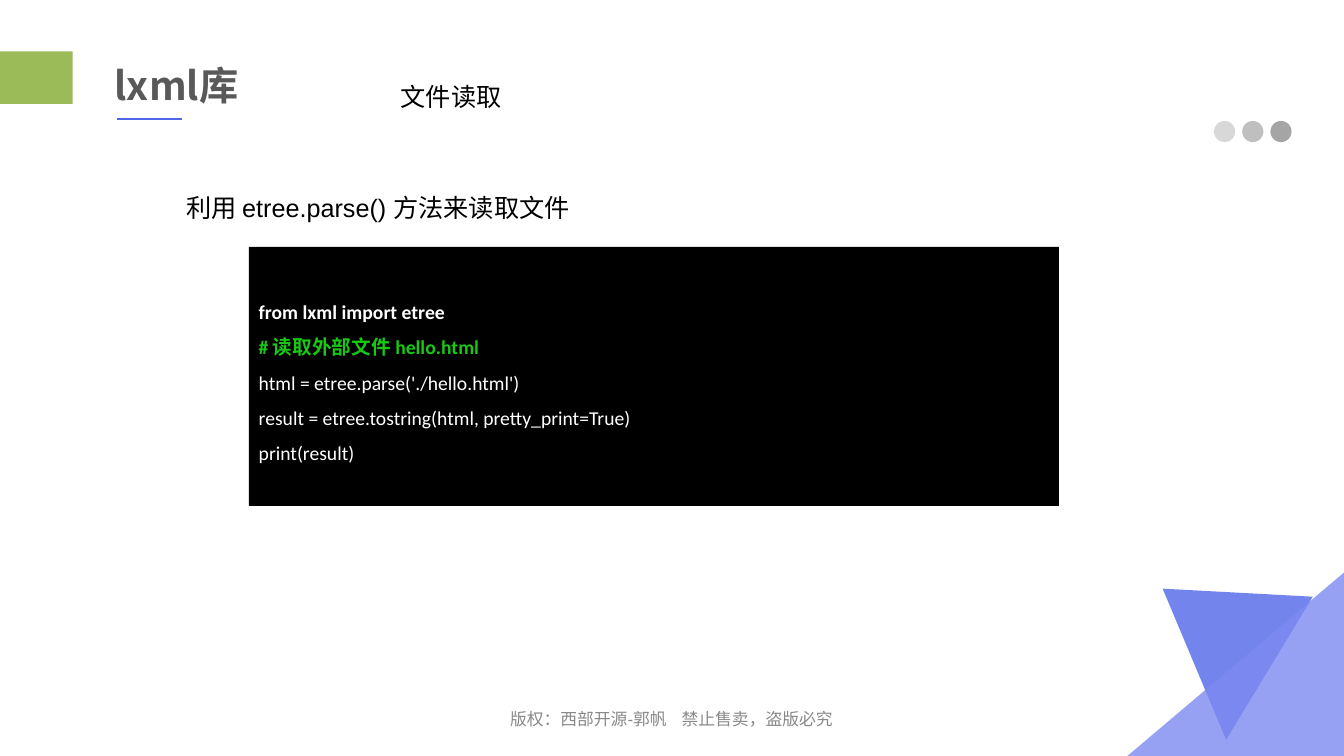
from lxml.etree import SubElement
from pptx import Presentation
from pptx.dml.color import RGBColor
from pptx.enum.shapes import MSO_CONNECTOR, MSO_SHAPE as SHAPE
from pptx.enum.text import MSO_ANCHOR as ANCHOR, PP_ALIGN as ALIGN
from pptx.oxml.ns import qn
from pptx.util import Inches, Pt


def rgb(value):
    return RGBColor.from_string(value)


def write(p, text, size=18, font="Arial", color="000000", bold=False, spacing=1.0, align=ALIGN.LEFT):
    p.alignment = align
    p.line_spacing = spacing
    r = p.add_run()
    r.text = text
    r.font.size = Pt(size)
    r.font.name = font
    r.font.bold = bold
    r.font.color.rgb = rgb(color)
    SubElement(r.font._element, qn("a:ea")).set("typeface", "Noto Sans CJK SC")


class Deck:
    BLUE = "5066E9"
    GREY = "595959"
    CODE = dict(size=14, font="Calibri", spacing=1.5)

    def __init__(self, width, height):
        self.prs = Presentation()
        self.prs.slide_width = Inches(width)
        self.prs.slide_height = Inches(height)
        self.s = self.prs.slides.add_slide(self.prs.slide_layouts[6])

    def paint(self, sp, color, alpha=None):
        sp.shadow.inherit = False
        sp.fill.solid()
        sp.fill.fore_color.rgb = rgb(color)
        sp.line.fill.background()
        if alpha is not None:
            fill = sp._element.spPr.find(qn("a:solidFill"))
            SubElement(fill[0], qn("a:alpha")).set("val", str(alpha * 1000))

    def shape(self, kind, box, color):
        sp = self.s.shapes.add_shape(kind, *map(Inches, box))
        self.paint(sp, color)
        return sp

    def triangle(self, points, color):
        start, *rest = [(Inches(x), Inches(y)) for x, y in points]
        builder = self.s.shapes.build_freeform(*start)
        builder.add_line_segments(rest, close=True)
        self.paint(builder.convert_to_shape(), color, alpha=80)

    def line(self, x1, y1, x2, y2, color, width):
        c = self.s.shapes.add_connector(MSO_CONNECTOR.STRAIGHT, *map(Inches, (x1, y1, x2, y2)))
        c.line.color.rgb = rgb(color)
        c.line.width = Pt(width)
        SubElement(c._element.spPr, qn("a:effectLst"))

    def text(self, box, text, anchor=ANCHOR.TOP, **fmt):
        tf = self.s.shapes.add_textbox(*map(Inches, box)).text_frame
        tf.word_wrap = True
        tf.vertical_anchor = anchor
        write(tf.paragraphs[0], text, **fmt)

    def code(self, box, lines):
        tf = self.shape(SHAPE.RECTANGLE, box, "000000").text_frame
        tf.word_wrap = True
        tf.vertical_anchor = ANCHOR.MIDDLE
        for i, (text, color, bold) in enumerate(lines):
            p = tf.add_paragraph() if i else tf.paragraphs[0]
            write(p, text, color=color, bold=bold, **self.CODE)


def main():
    d = Deck(13.34, 7.5)
    d.text((4.5, 6.94, 4.33, 0.35), "版权：西部开源-郭帆    禁止售卖，盗版必究", anchor=ANCHOR.MIDDLE,
           size=12, color="898989", spacing=1.2, align=ALIGN.CENTER)
    d.triangle([(13.03, 5.92), (12.17, 7.34), (11.54, 5.84)], d.BLUE)
    d.triangle([(13.34, 7.5), (11.19, 7.5), (13.34, 5.68)], "7E8AF1")

    d.text((1.04, 0.52, 4.8, 0.64), "lxml库", anchor=ANCHOR.MIDDLE,
           size=28, font="Noto Sans CJK SC", color=d.GREY, bold=True)
    d.shape(SHAPE.RECTANGLE, (0, 0.51, 0.72, 0.52), "9BBB59")
    for i, grey in enumerate(("D8D8D8", "BFBFBF", "A5A5A5")):
        d.shape(SHAPE.OVAL, (12.05 + 0.28 * i, 1.2, 0.21, 0.21), grey)
    d.line(1.16, 1.18, 1.81, 1.18, d.BLUE, 1.5)

    d.text((3.88, 0.76, 1.4, 0.4), "文件读取")
    d.code((2.47, 2.45, 8.04, 2.57), [
        ("from lxml import etree", "FFFFFF", True),
        ("# 读取外部文件 hello.html", "17C913", True),
        ("html = etree.parse('./hello.html')", "FFFFFF", False),
        ("result = etree.tostring(html, pretty_print=True)", "FFFFFF", False),
        ("print(result)", "FFFFFF", False),
    ])
    d.text((1.75, 1.86, 4.5, 0.4), "利用 etree.parse() 方法来读取文件")
    d.prs.save("out.pptx")


if __name__ == "__main__":
    main()
